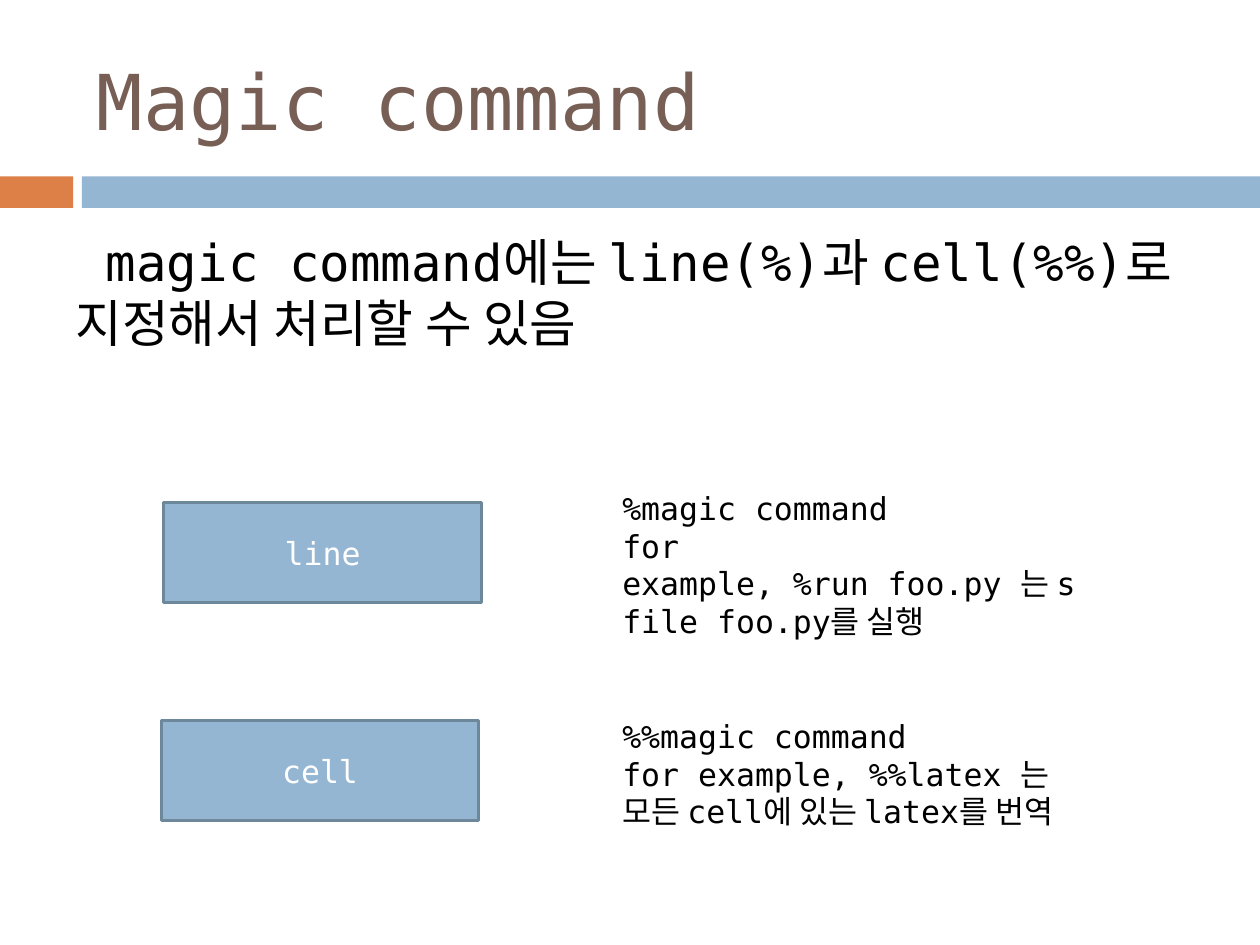
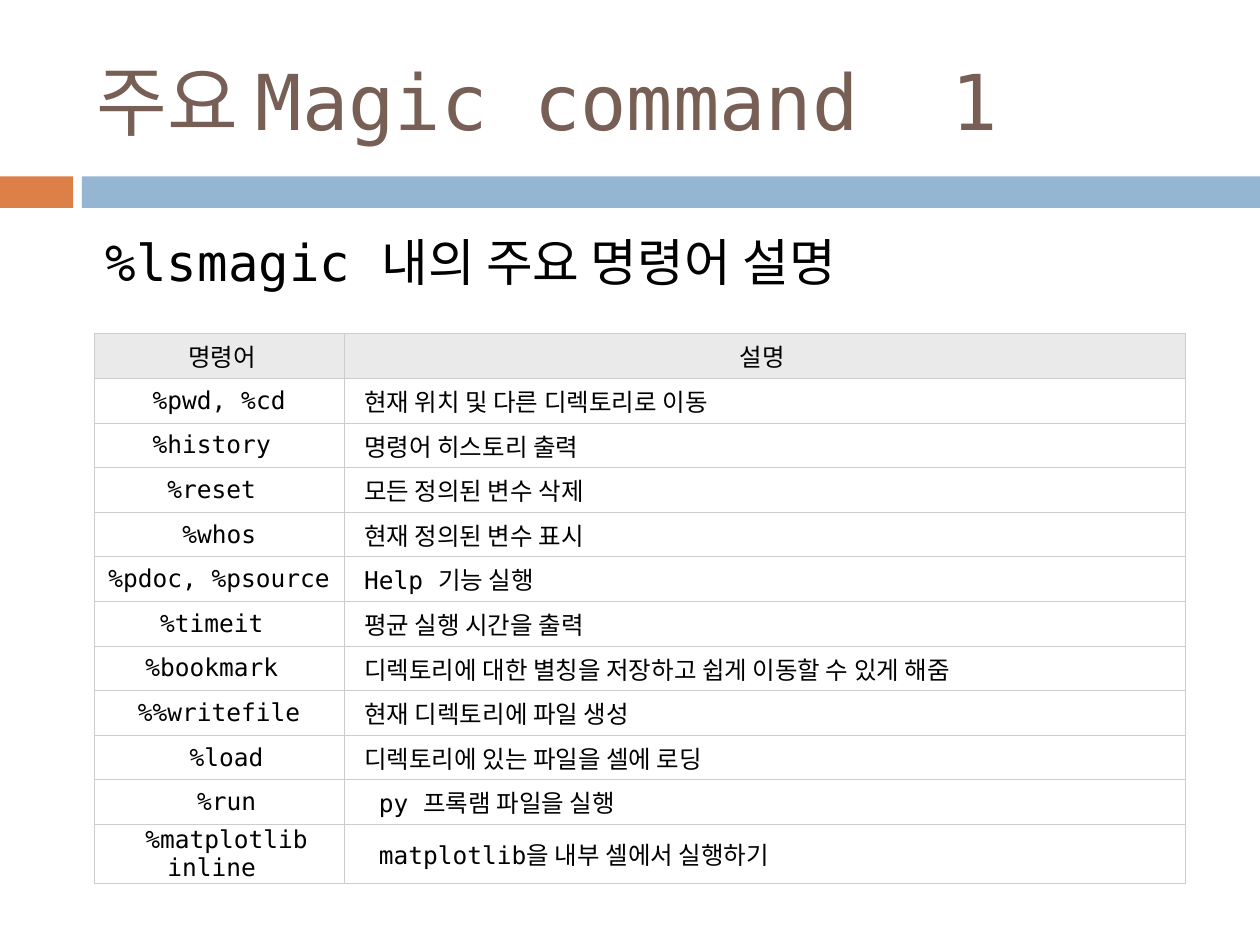
from lxml.etree import SubElement
from pptx import Presentation
from pptx.dml.color import RGBColor
from pptx.enum.shapes import MSO_SHAPE
from pptx.enum.text import MSO_ANCHOR, MSO_AUTO_SIZE, PP_ALIGN
from pptx.oxml.ns import qn
from pptx.util import Inches, Pt

FONT = "DejaVu Sans Mono"
ORANGE, BLUE, BLUE_EDGE = "DD8047", "94B6D2", "6D879B"
BROWN, BLACK, WHITE = "775F55", "000000", "FFFFFF"
HEADER_GREY, GRID_GREY = "EAEAEA", "CCCCCC"
HARD_SPACE = chr(160)

MAGIC_KINDS = [
    ("line", (1.3, 3.99), 3.83,
     ["%magic command",
      "for " + HARD_SPACE.join(["example,", "%run", "foo.py", "는 s file", "foo.py를 실행"])]),
    ("cell", (1.28, 5.72), 5.64,
     ["%%magic command",
      "for " + HARD_SPACE.join(["example,", "%%latex", "는 모든 cell에 있는 latex를 번역"])]),
]

COMMANDS = [
    (HARD_SPACE + "명령어", "설명" + HARD_SPACE),
    ("%pwd, %cd", "현재 위치 및 다른 디렉토리로 이동"),
    ("%history" + HARD_SPACE, "명령어 히스토리 출력"),
    ("%reset" + HARD_SPACE, "모든 정의된 변수 삭제"),
    ("%whos", "현재 정의된 변수 표시"),
    ("%pdoc, %psource", "Help 기능 실행"),
    ("%timeit" + HARD_SPACE, "평균 실행 시간을 출력"),
    ("%bookmark" + HARD_SPACE, "디렉토리에 대한 별칭을 저장하고 쉽게 이동할 수 있게 해줌"),
    ("%%writefile", "현재 디렉토리에 파일 생성"),
    (" %load", "디렉토리에 있는 파일을 셀에 로딩"),
    (" %run", " py 프록램 파일을 실행"),
    (" %matplotlib inline ", " matplotlib을 내부 셀에서 실행하기"),
]


def color(value):
    """Turn a hex string into a colour."""
    return RGBColor.from_string(value)


def inches(box):
    """Turn a box of numbers into lengths."""
    return [Inches(length) for length in box]


def write(frame, lines, size, ink, align=PP_ALIGN.LEFT):
    """Fill a text frame with paragraphs of one style."""
    frame.text = "\n".join(lines)
    for paragraph in frame.paragraphs:
        paragraph.alignment = align
        for run in paragraph.runs:
            run.font.size = Pt(size)
            run.font.bold = False
            run.font.color.rgb = color(ink)
            run.font.name = FONT


def add_text(slide, box, lines, size, ink=BLACK):
    """Add a wrapping text box and return its frame."""
    frame = slide.shapes.add_textbox(*inches(box)).text_frame
    frame.word_wrap = True
    write(frame, lines, size, ink)
    return frame


def add_block(slide, box, fill, edge=None):
    """Add a flat rectangle, outlined when an edge colour is given."""
    block = slide.shapes.add_shape(MSO_SHAPE.RECTANGLE, *inches(box))
    block.shadow.inherit = False
    block.fill.solid()
    block.fill.fore_color.rgb = color(fill)
    if edge:
        block.line.color.rgb = color(edge)
        block.line.width = Pt(1.5)
    else:
        block.line.fill.background()
    return block


def add_page(deck, title, lead):
    """Add a slide with the shared band, title and lead sentence."""
    slide = deck.slides.add_slide(deck.slide_layouts[6])
    add_block(slide, (0, 1.4, 0.58, 0.25), ORANGE)
    add_block(slide, (0.65, 1.4, 9.35, 0.25), BLUE)
    heading = add_text(slide, (0.67, 0.25, 8.92, 1.08), [title], 44, BROWN)
    heading.vertical_anchor = MSO_ANCHOR.MIDDLE
    add_text(slide, (0.5, 1.78, 9, 1.3), [lead], 29)
    return slide


def add_magic_kind(slide, name, corner, usage_top, usage):
    """Add a named block with its usage beside it."""
    block = add_block(slide, (*corner, 2.52, 0.79), BLUE, BLUE_EDGE)
    block.text_frame.vertical_anchor = MSO_ANCHOR.MIDDLE
    write(block.text_frame, [name], 18, WHITE, PP_ALIGN.CENTER)
    usage_frame = add_text(slide, (4.84, usage_top, 4.02, 1.01), usage, 18)
    usage_frame.auto_size = MSO_AUTO_SIZE.SHAPE_TO_FIT_TEXT


def add_borders(cell):
    """Draw thin grey borders around a table cell."""
    properties = cell._tc.get_or_add_tcPr()
    for side in ("lnL", "lnR", "lnT", "lnB"):
        border = SubElement(properties, qn(f"a:{side}"), w=str(Pt(0.6)))
        fill = SubElement(border, qn("a:solidFill"))
        SubElement(fill, qn("a:srgbClr"), val=GRID_GREY)


def add_command_table(slide, box, rows):
    """Add the table of commands and descriptions."""
    table = slide.shapes.add_table(len(rows), 2, *inches(box)).table
    table.first_row = table.horz_banding = False
    command_width = Inches(1.98)
    table.columns[0].width = command_width
    table.columns[1].width = Inches(box[2]) - command_width
    for row_index, row in enumerate(rows):
        for column_index, content in enumerate(row):
            cell = table.cell(row_index, column_index)
            is_description = row_index > 0 and column_index == 1
            cell.margin_left = Inches(0.16 if is_description else 0)
            cell.margin_right = cell.margin_top = cell.margin_bottom = 0
            cell.vertical_anchor = MSO_ANCHOR.MIDDLE
            align = PP_ALIGN.LEFT if is_description else PP_ALIGN.CENTER
            write(cell.text_frame, [content], 14, BLACK, align)
            add_borders(cell)
            if row_index == 0:
                cell.fill.solid()
                cell.fill.fore_color.rgb = color(HEADER_GREY)
            else:
                cell.fill.background()


def build_magic_kinds(deck):
    """Build the slide on line and cell magic."""
    slide = add_page(deck, "Magic command",
                     " magic command에는 line(%)과 cell(%%)로 지정해서 처리할 수 있음")
    for kind in MAGIC_KINDS:
        add_magic_kind(slide, *kind)


def build_commands(deck):
    """Build the slide listing the main commands."""
    slide = add_page(deck, "주요 Magic command  1",
                     " %lsmagic 내의 주요 명령어 설명")
    add_command_table(slide, (0.75, 2.65, 8.66, 4.25), COMMANDS)


def main():
    """Build and save the deck."""
    deck = Presentation()
    deck.slide_width, deck.slide_height = Inches(10), Inches(7.5)
    build_magic_kinds(deck)
    build_commands(deck)
    deck.save("out.pptx")


if __name__ == "__main__":
    main()
